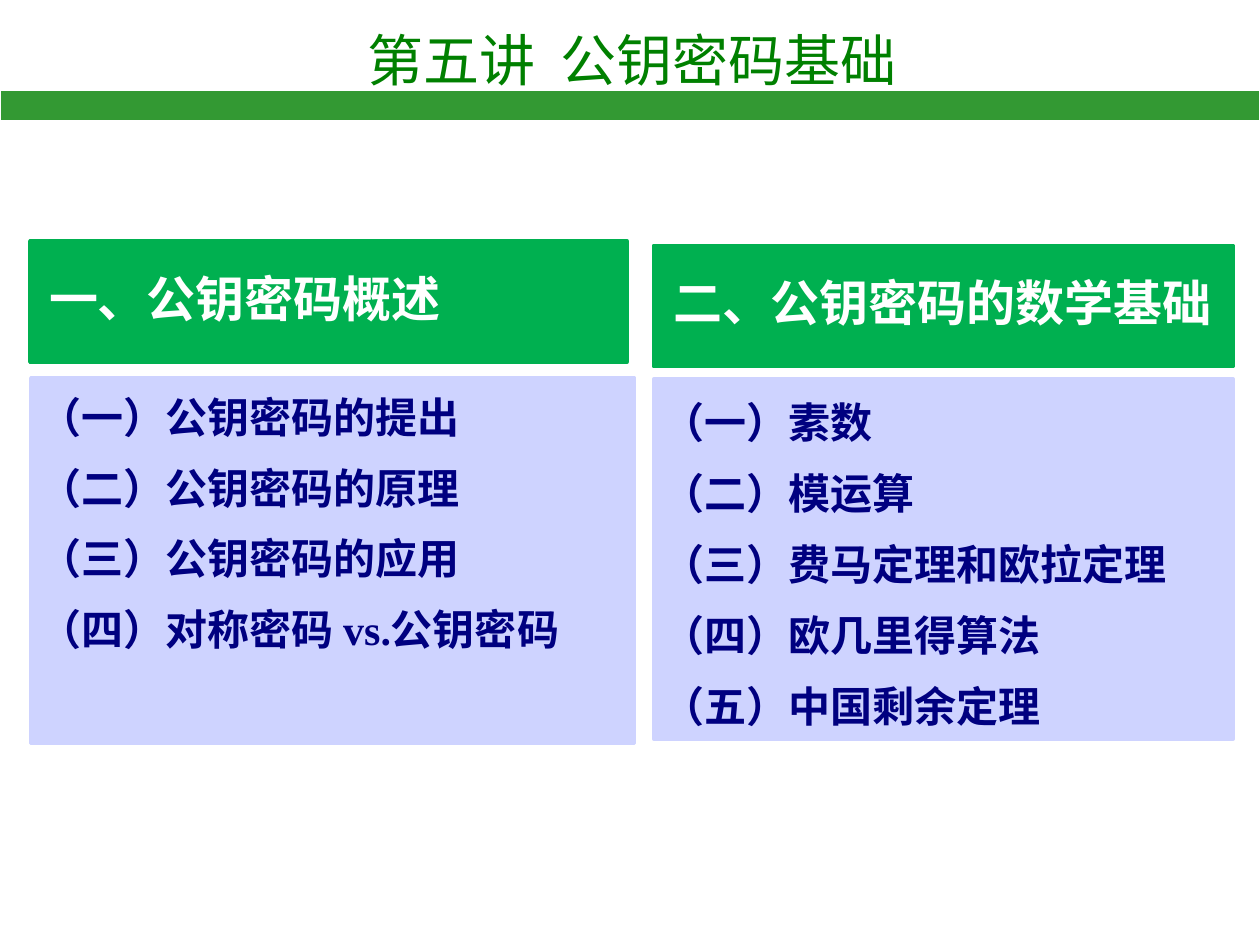
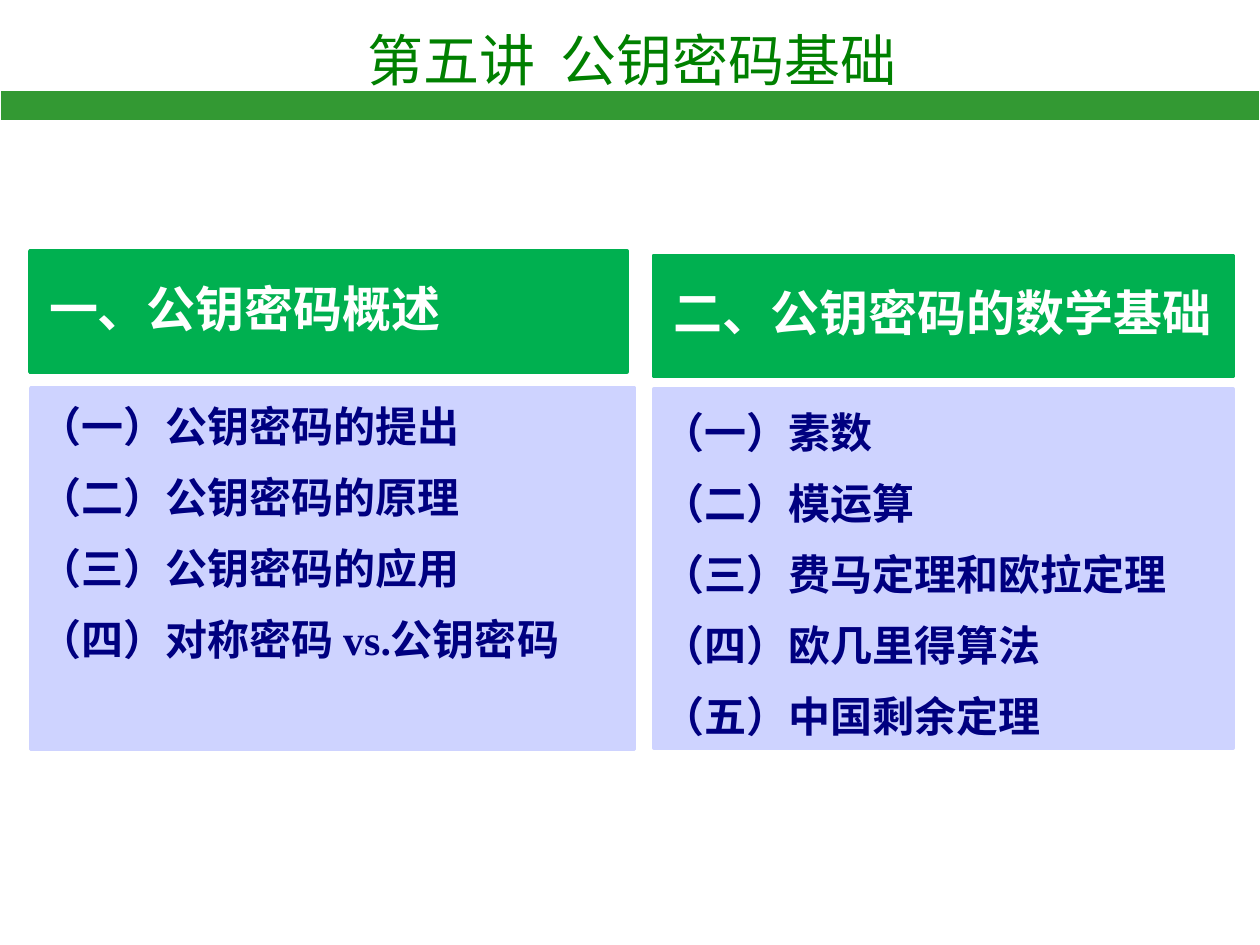
from lxml.etree import SubElement as Sub
from pptx import Presentation as Deck
from pptx.dml.color import RGBColor as Rgb
from pptx.enum.shapes import MSO_SHAPE as Shape
from pptx.enum.text import MSO_ANCHOR as Anchor, PP_ALIGN as Align
from pptx.oxml.ns import qn
from pptx.util import Cm, Pt

WHITE = Rgb(0xFF, 0xFF, 0xFF)
GREEN = Rgb(0x00, 0x80, 0x00)
BAND = Rgb(0x33, 0x99, 0x33)
HEAD = Rgb(0x00, 0xB0, 0x50)
PALE = Rgb(0xCE, 0xD3, 0xFF)
NAVY = Rgb(0x00, 0x00, 0x80)
HAN, LATIN = "Noto Sans CJK SC", "Times New Roman"

TITLE = {
    "font": {"name": HAN, "size": Pt(32)}, "color": GREEN,
    "para": {"alignment": Align.CENTER}, "gap": Pt(0),
    "frame": {"word_wrap": True},
}
TOPIC = {
    "font": {"name": LATIN, "size": Pt(28), "bold": True}, "color": WHITE,
    "para": {"line_spacing": 0.9}, "gap": Pt(0),
    "frame": {"word_wrap": True, "vertical_anchor": Anchor.MIDDLE,
              "margin_left": Cm(0.4), "margin_right": Cm(0.4),
              "margin_top": Cm(0.23), "margin_bottom": Cm(0.23)},
}
ITEM = {
    "font": {"name": LATIN, "size": Pt(24), "bold": True}, "color": NAVY,
    "para": {"line_spacing": 1.2}, "gap": Pt(6),
    "frame": {"word_wrap": True, "margin_left": Cm(0.3), "margin_right": Cm(0.4),
              "margin_top": Cm(0.3), "margin_bottom": Cm(0.43)},
}

LEFT = {
    "topic": "一、公钥密码概述",
    "items": ["（一）公钥密码的提出", "（二）公钥密码的原理",
              "（三）公钥密码的应用", "（四）对称密码 vs.公钥密码"],
    "head": (0.6, 4.86, 12.04), "list": (0.62, 7.62, 12.17), "lift": 0.24,
}
RIGHT = {
    "topic": "二、公钥密码的数学基础",
    "items": ["（一）素数", "（二）模运算", "（三）费马定理和欧拉定理",
              "（四）欧几里得算法", "（五）中国剩余定理"],
    "head": (13.18, 4.95, 11.68), "list": (13.18, 7.64, 11.68), "lift": 0.15,
}
PAGES = [(0, 7.37, 7.26), (0.2, 7.29, 7.24)]


def apply(target, values):
    """Set each named value on the target."""
    for name, value in values.items():
        setattr(target, name, value)


class Pen:
    """Holds the deck style and draws on the current slide."""

    def __init__(self):
        """Open a deck of 4:3 slides."""
        self.deck = Deck()
        apply(self.deck, {"slide_width": Cm(25.4), "slide_height": Cm(19.05)})

    def page(self):
        """Start a slide with the shared title and band."""
        self.slide = self.deck.slides.add_slide(self.deck.slide_layouts[6])
        self.text(3.26, 0.39, 18.97, 1.63, ["第五讲  公钥密码基础"], TITLE)
        self.block(0, 1.83, 25.4, 0.61, BAND, WHITE, 0.75)

    def block(self, x, y, w, h, fill, edge, width=2):
        """Draw a filled rectangle."""
        box = self.slide.shapes.add_shape(Shape.RECTANGLE, Cm(x), Cm(y), Cm(w), Cm(h))
        box.shadow.inherit = False
        box.fill.solid()
        box.fill.fore_color.rgb = fill
        box.line.color.rgb = edge
        box.line.width = Pt(width)

    def text(self, x, y, w, h, lines, style):
        """Write lines of text in one style."""
        frame = self.slide.shapes.add_textbox(Cm(x), Cm(y), Cm(w), Cm(h)).text_frame
        apply(frame, style["frame"])
        for i, line in enumerate(lines):
            para = frame.add_paragraph() if i else frame.paragraphs[0]
            apply(para, style["para"])
            para.space_before = style["gap"] if i else Pt(0)
            run = para.add_run()
            run.text = line
            apply(run.font, style["font"])
            run.font.color.rgb = style["color"]
            Sub(run._r.get_or_add_rPr(), qn("a:ea"), typeface=HAN)

    def column(self, part, drop, tall):
        """Draw a topic head above its list."""
        x, y, w = part["head"]
        self.block(x, y + drop, w, 2.44, HEAD, HEAD)
        self.text(x - 0.01, y + drop, w + 0.13, 2.44, [part["topic"]], TOPIC)
        x, y, w = part["list"]
        self.block(x, y + drop, w, tall, PALE, PALE)
        self.text(x - 0.12, y + drop - part["lift"], w + 0.12, tall, part["items"], ITEM)


def main():
    """Build and save the slides."""
    pen = Pen()
    for drop, *sizes in PAGES:
        pen.page()
        for part, tall in zip((LEFT, RIGHT), sizes):
            pen.column(part, drop, tall)
    pen.deck.save("out.pptx")


if __name__ == "__main__":
    main()
